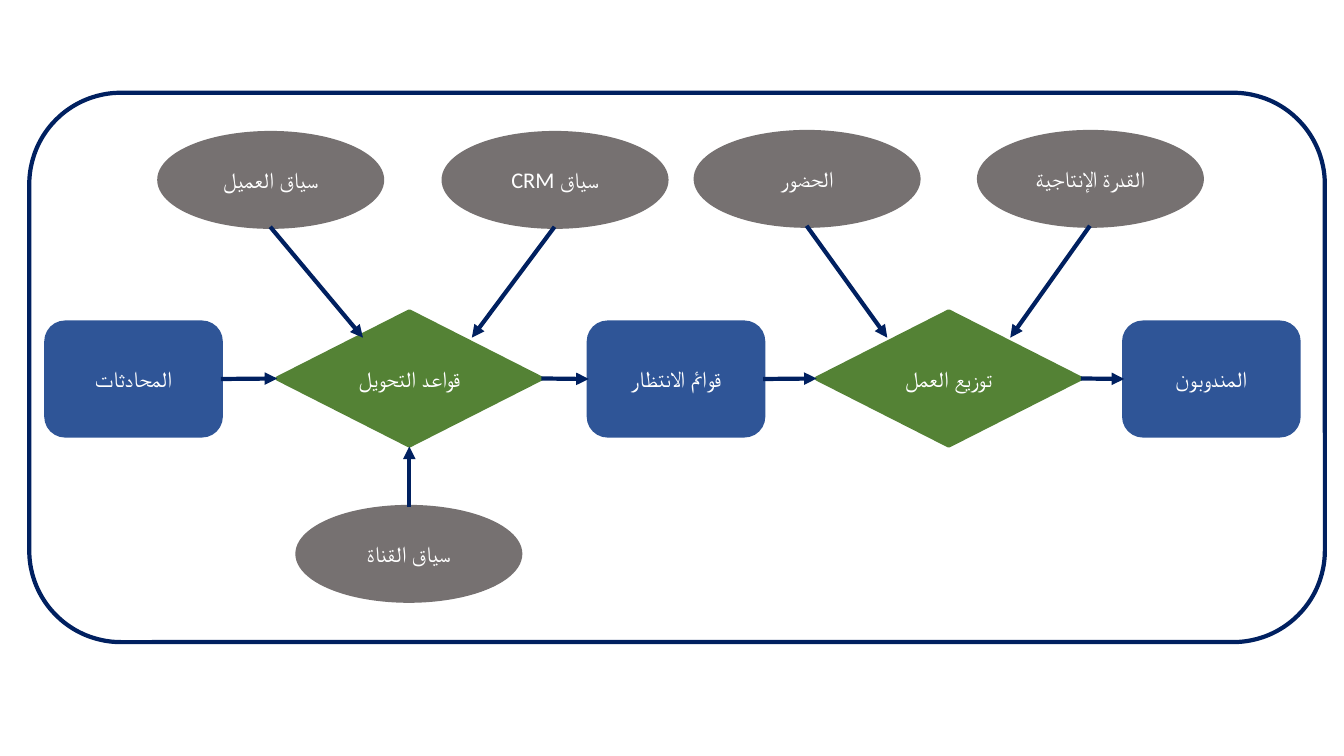
import dataclasses

import pptx
import pptx.dml.color
import pptx.enum.shapes
import pptx.enum.text
import pptx.oxml.ns
import pptx.util
from lxml import etree

PX = 9144  # EMU in one px, 100 px to the inch
NAVY, GREY, BLUE, GREEN, WHITE = "002060", "767171", "2F5597", "548235", "FFFFFF"
FONT = {"name": "Calibri", "size": pptx.util.Pt(16)}
FRAME = {
    "word_wrap": True,
    "vertical_anchor": pptx.enum.text.MSO_ANCHOR.MIDDLE,
}
KIND = pptx.enum.shapes.MSO_SHAPE
BOTTOM, RIGHT, LEFT = 2, 3, 1  # connection sites


@dataclasses.dataclass(frozen=True)
class Style:
    kind: int
    fill: str
    wide: int
    high: int


@dataclasses.dataclass(frozen=True)
class Node:
    style: Style
    left: int
    top: int
    text: str


@dataclasses.dataclass(frozen=True)
class Input:
    node: Node
    tip: tuple[int, int]
    below: bool = False


OVAL = Style(KIND.OVAL, GREY, 221, 93)
STAGE = Style(KIND.ROUNDED_RECTANGLE, BLUE, 173, 112)
RULE = Style(KIND.DIAMOND, GREEN, 262, 133)
PANEL = Node(Style(KIND.ROUNDED_RECTANGLE, WHITE, 1285, 545), 29, 92, "")

# Main flow, left to right
FLOW = [
    Node(STAGE, 46, 320, "المحادثات"),
    Node(RULE, 275, 309, "قواعد التحويل"),
    Node(STAGE, 584, 320, "قوائم الانتظار"),
    Node(RULE, 810, 309, "توزيع العمل"),
    Node(STAGE, 1115, 320, "المندوبون"),
]

# Context that feeds the two diamonds
INPUTS = [
    Input(Node(OVAL, 158, 132, "سياق العميل"), (360, 335)),
    Input(Node(OVAL, 440, 132, "سياق CRM"), (468, 335)),
    Input(Node(OVAL, 295, 503, "سياق القناة"), (406, 443), below=True),
    Input(Node(OVAL, 690, 131, "الحضور"), (880, 335)),
    Input(Node(OVAL, 971, 131, "القدرة الإنتاجية"), (1002, 335)),
]


def rgb(code: str) -> pptx.dml.color.RGBColor:
    return pptx.dml.color.RGBColor.from_string(code)


def apply(target: object, values: dict) -> None:
    for name, value in values.items():
        setattr(target, name, value)


def stroke(line: object, code: str) -> None:
    line.color.rgb = rgb(code)
    line.width = pptx.util.Pt(3)


def draw(shapes: object, node: Node, edge: str) -> object:
    style = node.style
    box = (node.left, node.top, style.wide, style.high)
    shape = shapes.add_shape(style.kind, *(n * PX for n in box))
    shape.shadow.inherit = False
    shape.fill.solid()
    shape.fill.fore_color.rgb = rgb(style.fill)
    stroke(shape.line, edge)
    if node.text:
        apply(shape.text_frame, FRAME)
        para = shape.text_frame.paragraphs[0]
        para.alignment = pptx.enum.text.PP_ALIGN.CENTER
        para._p.get_or_add_pPr().set("rtl", "1")
        run = para.add_run()
        run.text = node.text
        apply(run.font, FONT)
        run.font.color.rgb = rgb(WHITE)
    return shape


def arrow(shapes: object, start: tuple[int, int], end: tuple[int, int]) -> object:
    kind = pptx.enum.shapes.MSO_CONNECTOR.STRAIGHT
    link = shapes.add_connector(kind, *(n * PX for n in start + end))
    stroke(link.line, NAVY)
    tag = pptx.oxml.ns.qn
    etree.SubElement(link.line._ln, tag("a:tailEnd"), type="triangle")
    etree.SubElement(link._element.spPr, tag("a:effectLst"))
    return link


def main() -> None:
    deck = pptx.Presentation()
    deck.slide_width, deck.slide_height = 1333 * PX, 750 * PX
    shapes = deck.slides.add_slide(deck.slide_layouts[6]).shapes

    # Panel and nodes
    draw(shapes, PANEL, NAVY)
    steps = [draw(shapes, node, node.style.fill) for node in FLOW]
    for item in INPUTS:
        draw(shapes, item.node, item.node.style.fill)

    # Arrows from context to diamonds
    for item in INPUTS:
        node = item.node
        mid = node.left + node.style.wide // 2
        edge = node.top if item.below else node.top + node.style.high
        arrow(shapes, (item.tip[0] if item.below else mid, edge), item.tip)

    # Arrows along the flow
    for first, then in zip(steps, steps[1:]):
        link = arrow(shapes, (0, 0), (0, 0))
        link.begin_connect(first, RIGHT)
        link.end_connect(then, LEFT)

    deck.save("out.pptx")


if __name__ == "__main__":
    main()
